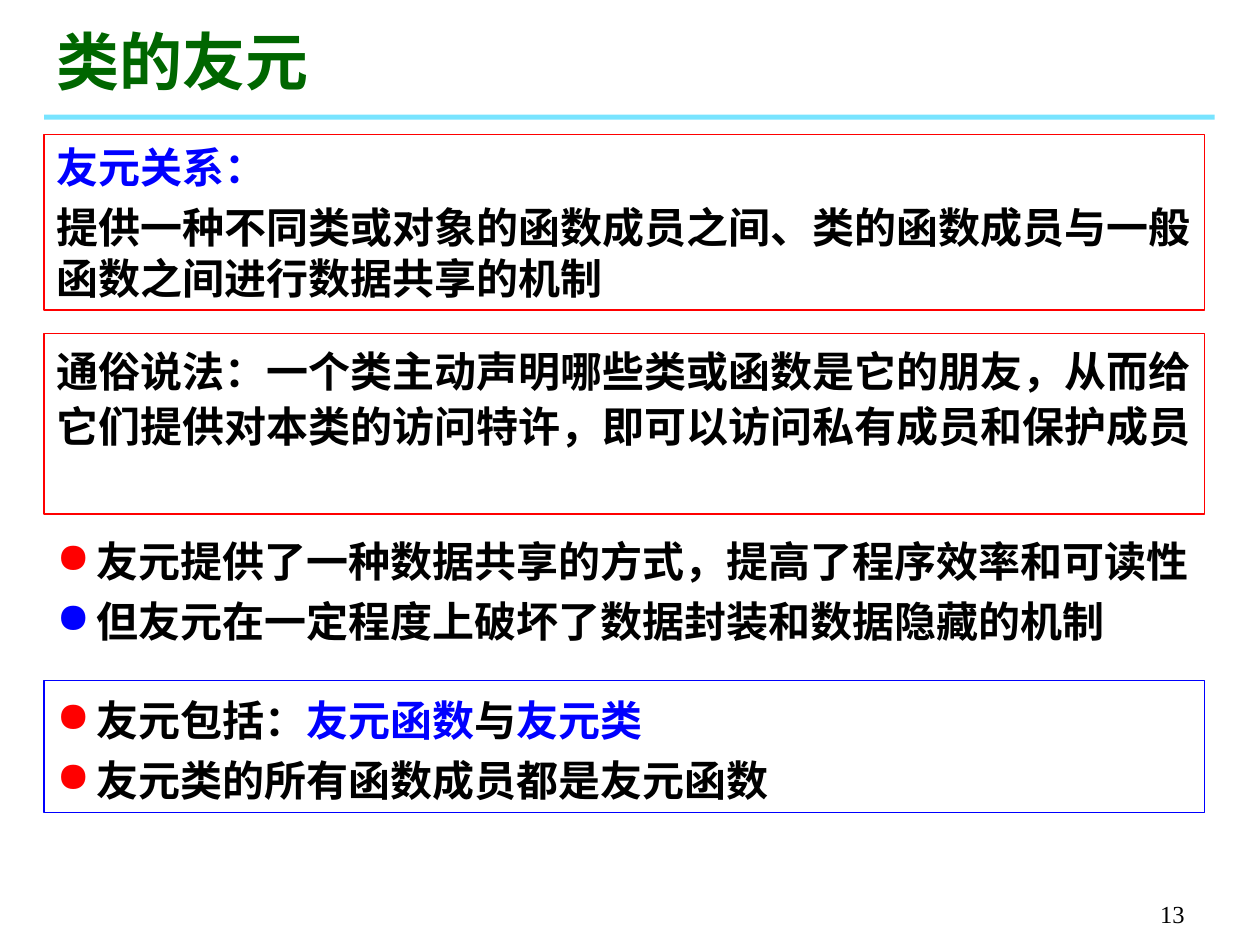
from lxml import etree
from pptx import Presentation
from pptx.dml.color import RGBColor
from pptx.enum import shapes, text
from pptx.oxml import ns
from pptx.util import Inches, Pt

BLACK, RED, BLUE = "000000", "FF0000", "0000FF"
LEFT, WIDE = 0.35, 9.21


def rgb(code):
    return RGBColor.from_string(code)


def sub(node, tag, **attrs):
    return etree.SubElement(node, ns.qn(tag), attrs)


def add_bar(slide):
    bar = slide.shapes.add_shape(
        shapes.MSO_SHAPE.RECTANGLE,
        Inches(LEFT), Inches(0.91), Inches(9.29), Inches(0.04))
    bar.shadow.inherit = False
    bar.line.fill.background()
    bar.fill.solid()
    bar.fill.fore_color.rgb = rgb("00CCFF")
    color = bar.fill._xPr.find(".//" + ns.qn("a:srgbClr"))
    sub(color, "a:alpha", val="53000")


def add_box(slide, left, top, width, height, line=None, anchor="TOP"):
    """Add a text area, framed if a line colour is given."""
    area = [Inches(n) for n in (left, top, width, height)]
    if line:
        box = slide.shapes.add_shape(shapes.MSO_SHAPE.RECTANGLE, *area)
        box.shadow.inherit = False
        box.fill.background()
        box.line.color.rgb = rgb(line)
        box.line.width = Pt(0.75)
    else:
        box = slide.shapes.add_textbox(*area)
    frame = box.text_frame
    frame.word_wrap = True
    frame.vertical_anchor = text.MSO_ANCHOR[anchor]
    return frame


def add_bullet(para, color):
    props = para._p.get_or_add_pPr()
    props.set("marL", str(Inches(0.32)))
    props.set("indent", str(-Inches(0.32)))
    sub(sub(props, "a:buClr"), "a:srgbClr", val=color)
    sub(props, "a:buChar", char="●")


def add_para(frame, runs, size=24, font="Lato", bold=True, align="LEFT",
             space=1.0, after=0, bullet=None):
    """Write (words, colour) runs into the first free paragraph."""
    para = frame.paragraphs[0]
    if para.runs:
        para = frame.add_paragraph()
    para.alignment = text.PP_ALIGN[align]
    para.line_spacing = space
    para.space_after = Pt(after)
    if bullet:
        add_bullet(para, bullet)
    para.font.size = Pt(size)
    para.font.name = font
    para.font.bold = bold
    for words, color in runs:
        run = para.add_run()
        run.text = words
        run.font.color.rgb = rgb(color)


def add_list(frame, items):
    for bullet, runs in items:
        add_para(frame, runs, space=1.15, after=1.4, bullet=bullet)


def main():
    deck = Presentation()
    deck.slide_width, deck.slide_height = Inches(10), Inches(7.5)
    slide = deck.slides.add_slide(deck.slide_layouts[6])

    add_bar(slide)
    page = add_box(slide, 7.42, 6.92, 2.08, 0.5, anchor="BOTTOM")
    add_para(page, [("13", BLACK)], 14, "Times New Roman", False, "RIGHT")
    title = add_box(slide, LEFT, 0.13, 5.36, 0.7, anchor="BOTTOM")
    add_para(title, [("类的友元", "006600")], 36, "Times New Roman")

    effects = add_box(slide, LEFT, 4.14, 9.45, 1.04)
    add_list(effects, [
        (RED, [("友元提供了一种数据共享的方式，提高了程序效率和可读性", BLACK)]),
        (BLUE, [("但友元在一定程度上破坏了数据封装和数据隐藏的机制", BLACK)]),
    ])

    meaning = add_box(slide, LEFT, 1.07, WIDE, 1.39, RED)
    add_para(meaning, [("友元关系：", BLUE)], after=5.8)
    add_para(meaning, [("提供一种不同类或对象的函数成员之间、类的函数成员与一般"
                        "函数之间进行数据共享的机制", BLACK)], after=5.8)

    plain = add_box(slide, LEFT, 2.65, WIDE, 1.43, RED)
    add_para(plain, [("通俗说法：一个类主动声明哪些类或函数是它的朋友，从而给"
                      "它们提供对本类的访问特许，即可以访问私有成员和保护成员",
                      BLACK)], font="DejaVu Sans Mono", space=1.1)

    kinds = add_box(slide, LEFT, 5.4, WIDE, 1.05, BLUE)
    add_list(kinds, [
        (RED, [("友元包括：", BLACK), ("友元函数", BLUE),
               ("与", BLACK), ("友元类", BLUE)]),
        (RED, [("友元类的所有函数成员都是友元函数", BLACK)]),
    ])
    deck.save("out.pptx")


if __name__ == "__main__":
    main()
